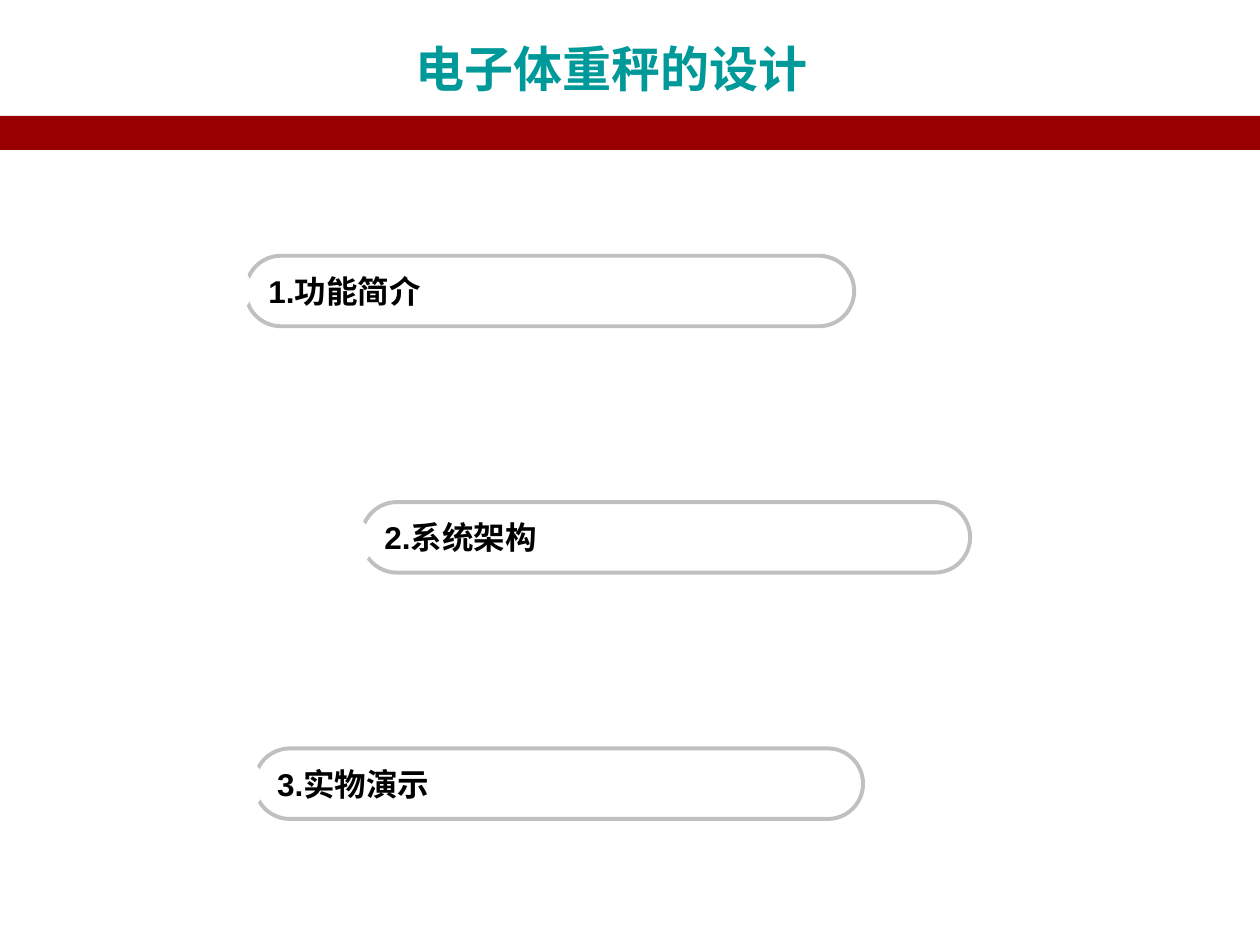
from pptx import Presentation
from pptx.dml.color import RGBColor
from pptx.enum.shapes import MSO_SHAPE
from pptx.enum.text import MSO_ANCHOR, PP_ALIGN
from pptx.util import Inches, Pt

RECTANGLE = MSO_SHAPE.RECTANGLE
PILL = MSO_SHAPE.ROUNDED_RECTANGLE
OVAL = MSO_SHAPE.OVAL
MIDDLE = MSO_ANCHOR.MIDDLE
CENTER, LEFT = PP_ALIGN.CENTER, PP_ALIGN.LEFT

WHITE = RGBColor(0xFF, 0xFF, 0xFF)
BLACK = RGBColor(0x00, 0x00, 0x00)
TEAL = RGBColor(0x00, 0x99, 0x99)
DARK_RED = RGBColor(0x99, 0x00, 0x00)
SILVER = RGBColor(0xC0, 0xC0, 0xC0)

SLIDE_WIDTH, SLIDE_HEIGHT = 10, 7.5
TITLE_FORMAT = {"size": Pt(28), "name": "DejaVu Sans", "bold": True}
ITEM_FORMAT = {"size": Pt(18), "name": "Arial", "bold": True}

# Agenda items are spaced evenly down the slide
PILL_WIDTH, PILL_HEIGHT = 4.83, 0.56
FIRST_TOP, ROW_STEP = 2.03, 1.955
NOTCH_SIZE = 0.42
# Text, pill left edge, notch offset from the pill's corner
ITEMS = [
    ("1.功能简介", 1.95, (-0.37, 0.06)),
    ("2.系统架构", 2.87, (-0.33, 0.11)),
    ("3.实物演示", 2.02, (-0.34, 0.08)),
]


def inches(box):
    return [Inches(length) for length in box]


def add_plain_shape(slide, kind, box, fill=None):
    shape = slide.shapes.add_shape(kind, *inches(box))
    shape.shadow.inherit = False
    shape.line.fill.background()
    if fill is None:
        shape.fill.background()
    else:
        shape.fill.solid()
        shape.fill.fore_color.rgb = fill
    return shape


def write_text(shape, text, font_format, color, alignment, wrap):
    frame = shape.text_frame
    frame.word_wrap = wrap
    frame.vertical_anchor = MIDDLE
    paragraph = frame.paragraphs[0]
    paragraph.alignment = alignment
    run = paragraph.add_run()
    run.text = text
    for attribute, value in font_format.items():
        setattr(run.font, attribute, value)
    run.font.color.rgb = color


def add_header(slide, box):
    """Title above a full-width band at the bottom of the box."""
    left, top, width, height = box
    band_height = 0.27
    band_top = top + height - band_height
    add_plain_shape(slide, RECTANGLE, (left, band_top, width, band_height), DARK_RED)
    title = slide.shapes.add_textbox(*inches((left + 0.23, top + 0.23, width - 0.75, 0.62)))
    write_text(title, "电子体重秤的设计", TITLE_FORMAT, TEAL, CENTER, True)


def add_agenda_item(slide, box, text):
    """Outlined pill with a left-aligned label."""
    pill = add_plain_shape(slide, PILL, box)
    pill.adjustments[0] = 0.5
    pill.line.color.rgb = SILVER
    pill.line.width = Pt(2.25)
    write_text(pill, text, ITEM_FORMAT, BLACK, LEFT, False)
    # Hanging indent: the number starts at the pill's text edge
    properties = pill.text_frame.paragraphs[0]._p.get_or_add_pPr()
    properties.set("marL", str(Inches(1)))
    properties.set("indent", str(-Inches(1)))


def add_notch(slide, box, offset):
    """White disc that opens the pill's left end."""
    left, top = box[0] + offset[0], box[1] + offset[1]
    add_plain_shape(slide, OVAL, (left, top, NOTCH_SIZE, NOTCH_SIZE), WHITE)


def main():
    presentation = Presentation()
    presentation.slide_width = Inches(SLIDE_WIDTH)
    presentation.slide_height = Inches(SLIDE_HEIGHT)
    slide = presentation.slides.add_slide(presentation.slide_layouts[6])

    add_header(slide, (0, 0, SLIDE_WIDTH, 1.19))
    for row, (text, left, offset) in enumerate(ITEMS):
        box = (left, FIRST_TOP + row * ROW_STEP, PILL_WIDTH, PILL_HEIGHT)
        add_agenda_item(slide, box, text)
        add_notch(slide, box, offset)

    presentation.save("out.pptx")


if __name__ == "__main__":
    main()
